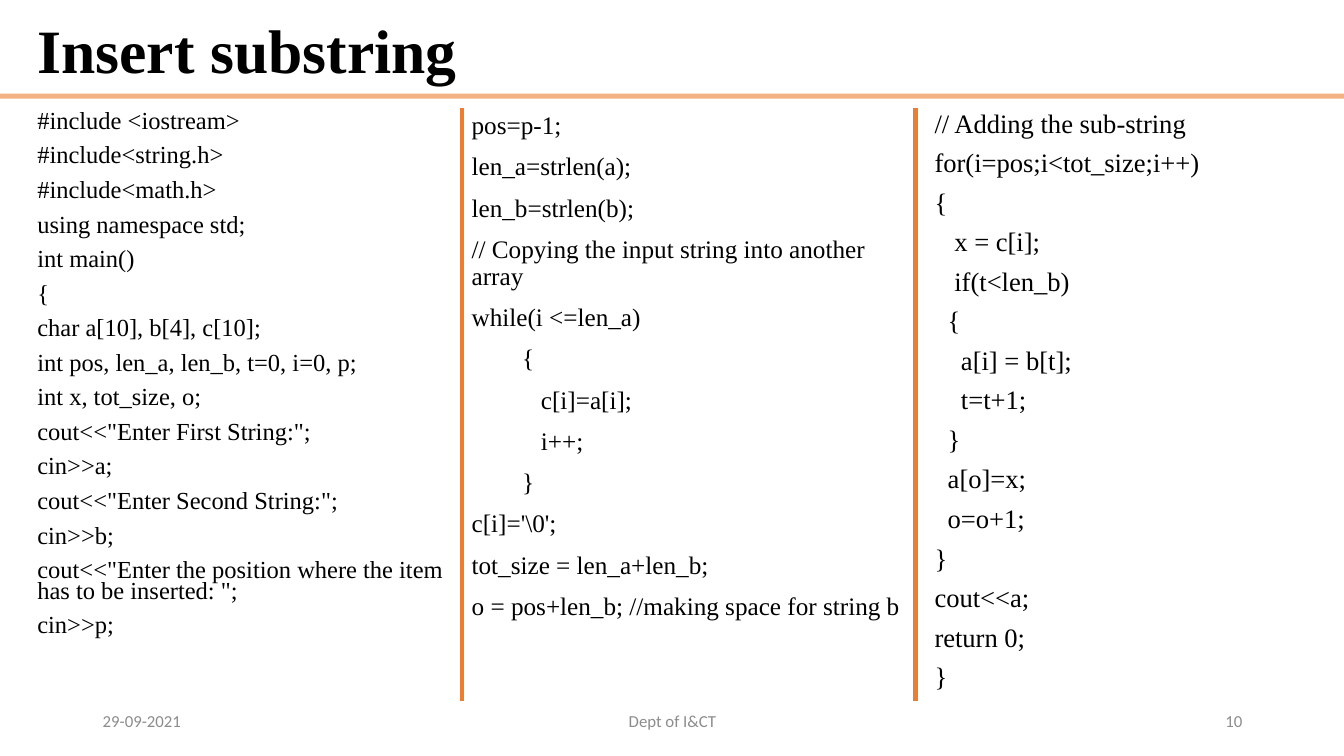
import pptx
import pptx.dml.color
import pptx.enum.shapes
import pptx.enum.text
import pptx.oxml.ns
import pptx.util
from lxml import etree

Inches = pptx.util.Inches
Pt = pptx.util.Pt
ALIGN = pptx.enum.text.PP_ALIGN
ANCHOR = pptx.enum.text.MSO_ANCHOR
SERIF = "Times New Roman"

LEFT = r'''#include <iostream>
#include<string.h>
#include<math.h>
using namespace std;
int main()
{
char a[10], b[4], c[10];
int pos, len_a, len_b, t=0, i=0, p;
int x, tot_size, o;
cout<<"Enter First String:";
cin>>a;
cout<<"Enter Second String:";
cin>>b;
cout<<"Enter the position where the item has to be inserted: ";
cin>>p;'''

MID = r'''pos=p-1;
len_a=strlen(a);
len_b=strlen(b);
// Copying the input string into another array
while(i <=len_a)
	{
	   c[i]=a[i];
	   i++;
	}
c[i]='\0';
tot_size = len_a+len_b;
o = pos+len_b; //making space for string b'''

RIGHT = r'''// Adding the sub-string
for(i=pos;i<tot_size;i++)
{
   x = c[i];
   if(t<len_b)
  {
    a[i] = b[t];
    t=t+1;
  }
  a[o]=x;
  o=o+1;
}
cout<<a;
return 0;
}'''


def color(code):
    return pptx.dml.color.RGBColor.from_string(code)


def apply(item, style):
    for key, value in style.items():
        setattr(item, key, value)


class Page:
    ink = "000000"
    gray = "8C8C8C"
    peach = "F4B183"
    orange = "ED7D31"

    def __init__(self, deck):
        self.slide = deck.slides.add_slide(deck.slide_layouts[1])
        self.shapes = self.slide.shapes

    def place(self, shape, box):
        names = ("left", "top", "width", "height")
        apply(shape, dict(zip(names, map(Inches, box))))

    def label(self, shape, text, font, tint, para, anchor=ANCHOR.TOP):
        frame = shape.text_frame
        apply(frame, {"text": text, "word_wrap": True, "vertical_anchor": anchor,
                      "auto_size": pptx.enum.text.MSO_AUTO_SIZE.NONE})
        for index, line in enumerate(frame.paragraphs):
            apply(line, para)
            if index == 0:
                line.space_before = Pt(0)
            for run in line.runs:
                apply(run.font, font)
                run.font.color.rgb = color(tint)

    def title(self, text, box):
        shape = self.shapes.title
        self.place(shape, box)
        self.label(shape, text, {"name": SERIF, "size": Pt(44), "bold": True}, self.ink,
                   {"alignment": ALIGN.LEFT, "line_spacing": 0.9}, ANCHOR.MIDDLE)

    def code(self, shape, text, size, pitch):
        self.label(shape, text, {"name": SERIF, "size": Pt(size)}, self.ink,
                   {"line_spacing": pitch, "space_before": Pt(10)})
        tag = pptx.oxml.ns.qn
        for line in shape.text_frame.paragraphs:
            props = line._p.get_or_add_pPr()
            for key in ("marL", "indent"):
                props.set(key, "0")
            etree.SubElement(props, tag("a:buNone"))
            tabs = etree.SubElement(props, tag("a:tabLst"))
            etree.SubElement(tabs, tag("a:tab"), pos=str(Inches(1)), algn="l")

    def list(self, text, box, size, pitch):
        shape = self.slide.placeholders[1]
        self.place(shape, box)
        self.code(shape, text, size, pitch)

    def panel(self, text, box, size, pitch):
        self.code(self.shapes.add_textbox(*map(Inches, box)), text, size, pitch)

    def foot(self, text, left, width, align):
        shape = self.shapes.add_textbox(*map(Inches, (left, 6.95, width, 0.4)))
        self.label(shape, text, {"name": "Calibri", "size": Pt(12)}, self.gray,
                   {"alignment": align}, ANCHOR.MIDDLE)

    def band(self, box):
        kind = pptx.enum.shapes.MSO_SHAPE.RECTANGLE
        shape = self.shapes.add_shape(kind, *map(Inches, box))
        shape.shadow.inherit = False
        shape.fill.solid()
        shape.fill.fore_color.rgb = color(self.peach)
        shape.line.fill.background()

    def rule(self, x):
        kind = pptx.enum.shapes.MSO_CONNECTOR.STRAIGHT
        line = self.shapes.add_connector(kind, *map(Inches, (x, 1.07, x, 6.95)))
        line.line.color.rgb = color(self.orange)
        line.line.width = Pt(3)
        etree.SubElement(line._element.spPr, pptx.oxml.ns.qn("a:effectLst"))


def main():
    deck = pptx.Presentation()
    apply(deck, {"slide_width": Inches(13.33), "slide_height": Inches(7.5)})
    page = Page(deck)
    page.band((0, 0.93, 13.33, 0.05))
    page.title("Insert substring", (0.27, 0.15, 12.15, 0.77))
    page.list(LEFT, (0.27, 1.07, 4.5, 5.73), 17.5, 0.7)
    page.panel(MID, (4.58, 1.07, 4.5, 6.36), 18, 0.9)
    page.panel(RIGHT, (9.17, 1.07, 4.05, 6.25), 19, 0.8)
    for x in (4.58, 9.08):
        page.rule(x)
    page.foot("29-09-2021", 0.92, 3, ALIGN.LEFT)
    page.foot("Dept of I&CT", 4.42, 4.5, ALIGN.CENTER)
    page.foot("10", 9.42, 3, ALIGN.RIGHT)
    deck.save("out.pptx")


if __name__ == "__main__":
    main()
